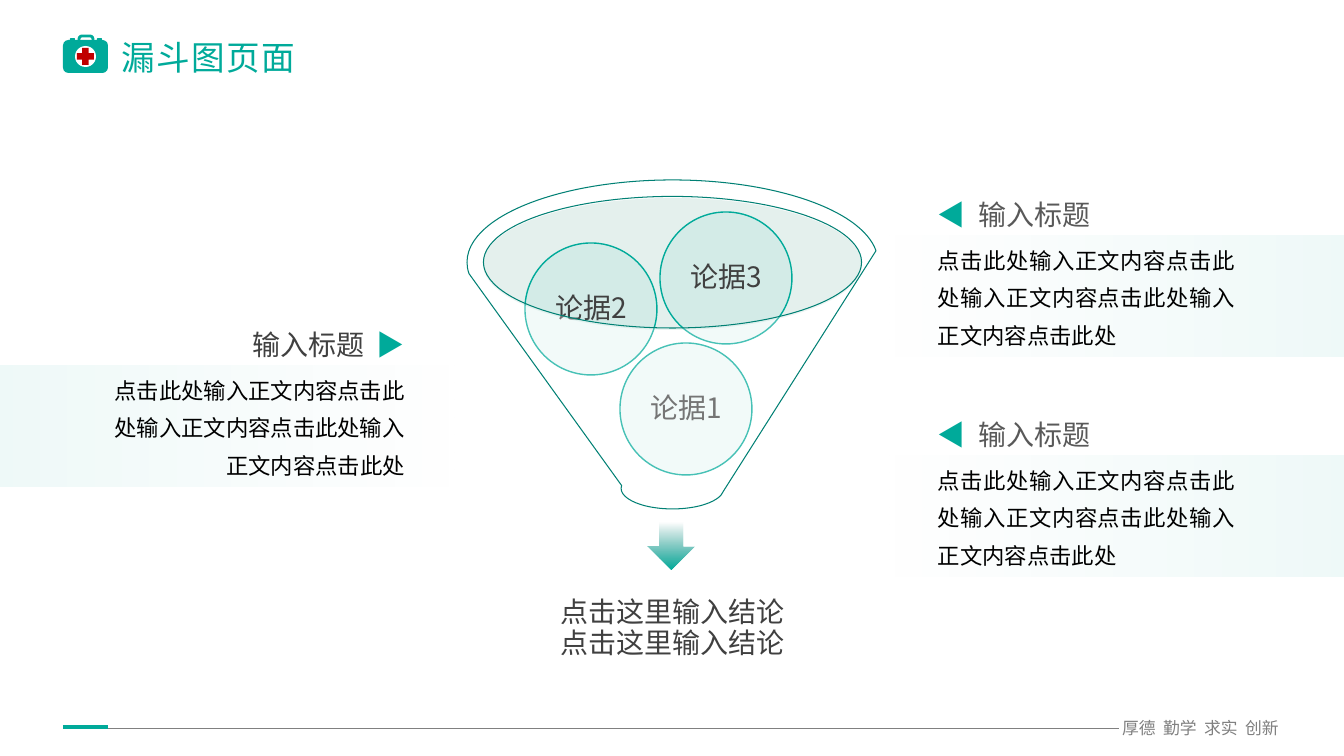
from dataclasses import dataclass
from typing import NamedTuple

from lxml.etree import SubElement
from pptx import Presentation
from pptx.dml.color import RGBColor
from pptx.enum.shapes import MSO_CONNECTOR, MSO_SHAPE
from pptx.enum.text import MSO_ANCHOR, MSO_AUTO_SIZE, PP_ALIGN
from pptx.oxml.ns import qn
from pptx.util import Emu, Pt

SLIDE_W, SLIDE_H = 1344, 756
EMU_PER_PX = 12192000 / SLIDE_W
FONT = "Noto Sans CJK JP"

TEAL = RGBColor(0x00, 0xAA, 0x9A)
DEEP_TEAL = RGBColor(0x00, 0x80, 0x74)
PALE_TEAL = RGBColor(0xBD, 0xDA, 0xD4)
RED = RGBColor(0xC0, 0x00, 0x00)
WHITE = RGBColor(0xFF, 0xFF, 0xFF)
BLACK = RGBColor(0x00, 0x00, 0x00)
DARK = RGBColor(0x40, 0x40, 0x40)
MID = RGBColor(0x59, 0x59, 0x59)
GREY = RGBColor(0x80, 0x80, 0x80)

BODY = "点击此处输入正文内容点击此处输入正文内容点击此处输入正文内容点击此处"
HEADING = "输入标题"
PANEL_W, PANEL_H = 489, 121
CIRCLE = 132


class Box(NamedTuple):
    x: int
    y: int
    w: int
    h: int


class Stop(NamedTuple):
    color: RGBColor
    alpha: int


@dataclass(frozen=True)
class Note:
    top: int
    on_left: bool = False


@dataclass(frozen=True)
class Argument:
    text: str
    x: int
    y: int


NOTES = [Note(456), Note(236), Note(366, on_left=True)]
ARGUMENTS = [Argument("论据1", 620, 343), Argument("论据2", 525, 243),
             Argument("论据3", 660, 212)]


def px(n: int) -> Emu:
    return Emu(round(n * EMU_PER_PX))


def set_alpha(fill_element, alphas: list[int]) -> None:
    """Give each colour inside a fill its opacity in percent."""
    for clr, alpha in zip(fill_element.iter(qn("a:srgbClr")), alphas):
        SubElement(clr, qn("a:alpha")).set("val", str(alpha * 1000))


def add_shape(s, kind, box: Box, *, fill=None, alpha=100, line=None, width=1.0):
    sp = s.shapes.add_shape(kind, *map(px, box))
    sp.shadow.inherit = False
    if fill is None:
        sp.fill.background()
    else:
        sp.fill.solid()
        sp.fill.fore_color.rgb = fill
        if alpha < 100:
            set_alpha(sp._element.spPr.find(qn("a:solidFill")), [alpha])
    if line is None:
        sp.line.fill.background()
    else:
        sp.line.color.rgb = line
        sp.line.width = Pt(width)
    return sp


def set_gradient(sp, stops: list[Stop], angle: int) -> None:
    sp.fill.gradient()
    sp.fill.gradient_angle = angle
    for target, stop in zip(sp.fill.gradient_stops, stops):
        target.color.rgb = stop.color
    set_alpha(sp._element.spPr.find(qn("a:gradFill")), [t.alpha for t in stops])


def add_line(s, x1: int, x2: int, y: int, color: RGBColor, width: float) -> None:
    line = s.shapes.add_connector(MSO_CONNECTOR.STRAIGHT, px(x1), px(y), px(x2), px(y))
    line.line.color.rgb = color
    line.line.width = Pt(width)
    SubElement(line._element.spPr, qn("a:effectLst"))


def write(sp, *paragraphs, size=20, align=PP_ALIGN.LEFT, spacing=1.0,
          anchor=MSO_ANCHOR.TOP, margins=(0, 5), wrap=True, tracking=0) -> None:
    """Fill a shape; each paragraph is a list of (text, colour) runs."""
    tf = sp.text_frame
    tf.word_wrap = wrap
    tf.auto_size = MSO_AUTO_SIZE.NONE
    tf.vertical_anchor = anchor
    tf.margin_left = tf.margin_right = px(margins[0])
    tf.margin_top = tf.margin_bottom = px(margins[1])
    for i, runs in enumerate(paragraphs):
        p = tf.add_paragraph() if i else tf.paragraphs[0]
        p.alignment = align
        p.line_spacing = spacing
        for text, color in runs:
            r = p.add_run()
            r.text = text
            r.font.size = Pt(size)
            r.font.color.rgb = color
            r.font.name = FONT
            rpr = r._r.get_or_add_rPr()
            SubElement(rpr, qn("a:ea")).set("typeface", FONT)
            if tracking:
                rpr.set("spc", str(tracking * 100))


def add_text(s, box: Box, *paragraphs, **fmt) -> None:
    write(s.shapes.add_textbox(*map(px, box)), *paragraphs, **fmt)


def add_first_aid_case(s) -> None:
    handle = add_shape(s, MSO_SHAPE.ROUNDED_RECTANGLE, Box(79, 36, 14, 10),
                       line=TEAL, width=2)
    handle.adjustments[0] = 0.3
    for x in (70, 97):
        add_shape(s, MSO_SHAPE.ROUNDED_RECTANGLE, Box(x, 38, 5, 6), fill=TEAL)
    add_shape(s, MSO_SHAPE.ROUNDED_RECTANGLE, Box(63, 40, 45, 33), fill=TEAL)
    add_shape(s, MSO_SHAPE.OVAL, Box(75, 46, 21, 21), fill=WHITE)
    cross = add_shape(s, MSO_SHAPE.CROSS, Box(77, 48, 17, 17), fill=RED)
    cross.adjustments[0] = 0.31


def add_footer(s) -> None:
    add_text(s, Box(1120, 718, 161, 20), [("厚德  勤学  求实  创新", GREY)], size=12,
             align=PP_ALIGN.CENTER, margins=(0, 0), wrap=False)
    add_line(s, 63, 1119, 728, GREY, 0.5)
    add_line(s, 63, 108, 727, TEAL, 3)


def add_panel(s, note: Note) -> None:
    x = 0 if note.on_left else SLIDE_W - PANEL_W
    panel = add_shape(s, MSO_SHAPE.RECTANGLE, Box(x, note.top, PANEL_W, PANEL_H))
    stops = [Stop(TEAL, 0), Stop(TEAL, 7)]
    set_gradient(panel, stops[::-1] if note.on_left else stops, 0)


def add_note_text(s, note: Note) -> None:
    if note.on_left:
        x, heading_x = 108, 122
        heading = [(HEADING + "  ", DARK), ("▶", TEAL)]
        align = body_align = PP_ALIGN.RIGHT
    else:
        x = heading_x = 938
        heading = [("◀  ", TEAL), (HEADING, MID)]
        align, body_align = PP_ALIGN.LEFT, PP_ALIGN.JUSTIFY
    add_text(s, Box(x, note.top - 5, 297, 157), [(BODY, BLACK)], size=16,
             align=body_align, spacing=1.4)
    add_text(s, Box(heading_x, note.top - 43, 283, 37), heading, align=align)


def add_funnel(s) -> None:
    add_shape(s, MSO_SHAPE.OVAL, Box(483, 198, 379, 132), fill=PALE_TEAL, alpha=40)
    arrow = add_shape(s, MSO_SHAPE.DOWN_ARROW, Box(648, 523, 47, 47))
    set_gradient(arrow, [Stop(TEAL, 100), Stop(DEEP_TEAL, 0)], 90)
    conclusion = [("点击这里输入结论", DARK)]
    add_text(s, Box(496, 585, 353, 88), conclusion, conclusion, spacing=0.9,
             align=PP_ALIGN.CENTER, anchor=MSO_ANCHOR.MIDDLE, margins=(16, 16))
    for arg in ARGUMENTS:
        circle = add_shape(s, MSO_SHAPE.OVAL, Box(arg.x, arg.y, CIRCLE, CIRCLE),
                           fill=TEAL, alpha=7, line=TEAL)
        write(circle, [(arg.text, DARK)], align=PP_ALIGN.CENTER, spacing=0.9,
              anchor=MSO_ANCHOR.MIDDLE, margins=(3, 3))
    add_shape(s, MSO_SHAPE.FUNNEL, Box(467, 180, 411, 329), fill=WHITE, alpha=28,
              line=DEEP_TEAL, width=0.75)


def main() -> None:
    prs = Presentation()
    prs.slide_width, prs.slide_height = px(SLIDE_W), px(SLIDE_H)
    s = prs.slides.add_slide(prs.slide_layouts[5])
    title = s.shapes.title
    title.left, title.top, title.width, title.height = map(px, Box(122, 32, 873, 51))
    write(title, [("漏斗图页面", TEAL)], size=24, anchor=MSO_ANCHOR.MIDDLE, tracking=1)
    add_footer(s)
    add_first_aid_case(s)
    for note in NOTES:
        add_panel(s, note)
    add_funnel(s)
    for note in NOTES:
        add_note_text(s, note)
    prs.save("out.pptx")


if __name__ == "__main__":
    main()
